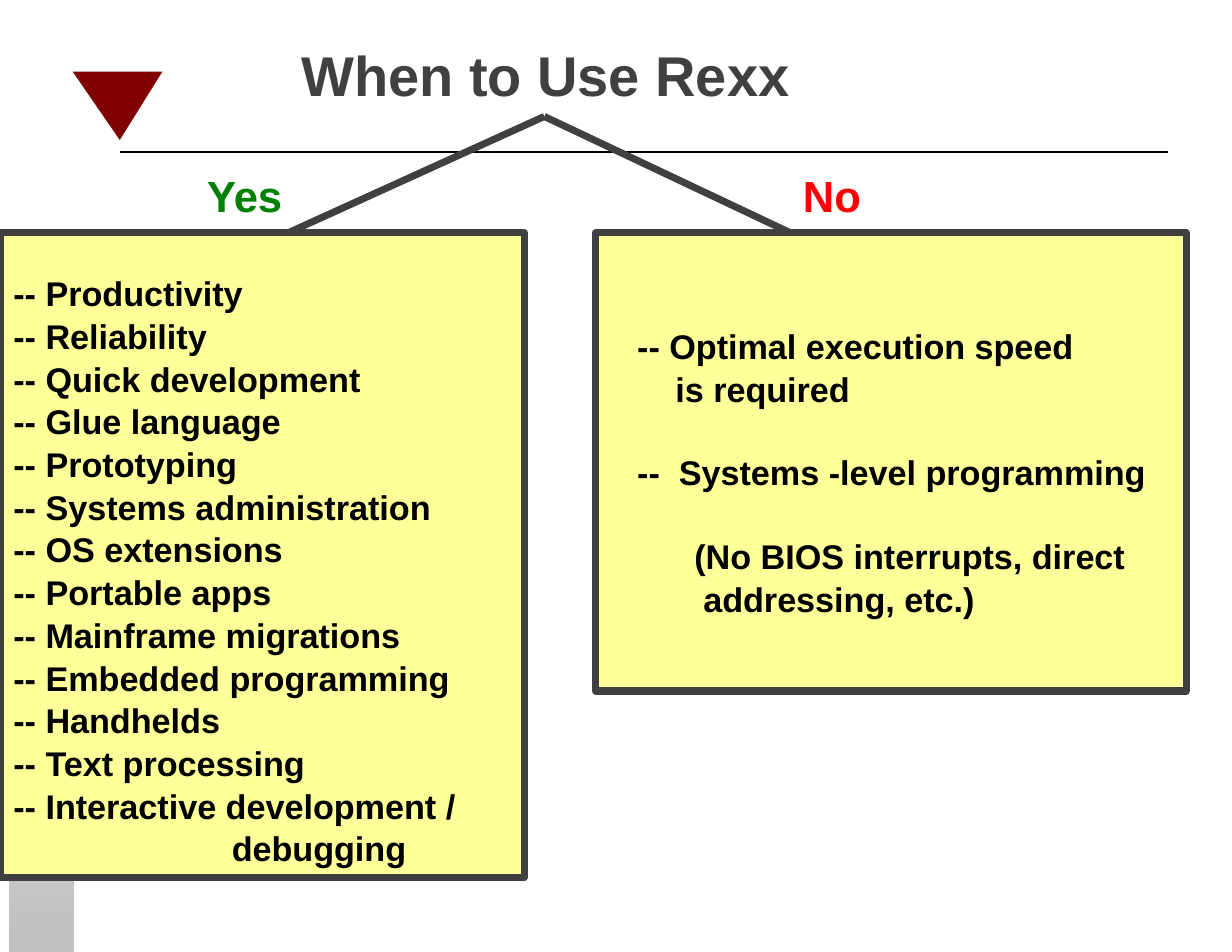
import pptx
import pptx.util
import pptx.dml.color
import pptx.enum.shapes
from lxml import etree

Inches, Pt = pptx.util.Inches, pptx.util.Pt
RGBColor = pptx.dml.color.RGBColor

MAROON = RGBColor(0x81, 0x00, 0x00)
SILVER = RGBColor(0xC0, 0xC0, 0xC0)
WHITE = RGBColor(0xFF, 0xFF, 0xFF)
BLACK = RGBColor(0x00, 0x00, 0x00)
CHARCOAL = RGBColor(0x40, 0x40, 0x40)
YELLOW = RGBColor(0xFF, 0xFF, 0x99)
RED = RGBColor(0xFF, 0x00, 0x00)
GREEN = RGBColor(0x00, 0x80, 0x00)

# Each line: text, indent in inches, blank lines before it
USES = [(f"-- {use}", 0, 0) for use in (
    "Productivity", "Reliability", "Quick development", "Glue language",
    "Prototyping", "Systems administration", "OS extensions",
    "Portable apps", "Mainframe migrations", "Embedded programming",
    "Handhelds", "Text processing", "Interactive development /")]
USES.append(("debugging", 1.95, 0))
LIMITS = [
    ("-- Optimal execution speed", 0, 0),
    ("is required", 0.34, 0),
    ("--  Systems -level programming", 0, 1),
    ("(No BIOS interrupts, direct", 0.51, 1),
    ("addressing, etc.)", 0.59, 0),
]
# Lines of text, box, size, colour
TEXTS = [
    ([("When to Use Rexx", 0, 0)], (2.58, 0.28, 4.59, 0.71), 36, CHARCOAL),
    (USES, (0.01, 2.36, 4.17, 5.61), 22, BLACK),
    (LIMITS, (5.58, 2.83, 4.77, 2.68), 22, BLACK),
    ([("No", 0, 0)], (7.06, 1.43, 0.74, 0.58), 28, RED),
    ([("Yes", 0, 0)], (1.74, 1.43, 0.91, 0.58), 28, GREEN),
]
PANELS = [(0, 2.08, 4.68, 5.76), (5.32, 2.08, 5.27, 4.09)]
TRIANGLE = [(0.65, 0.64), (1.07, 1.25), (1.45, 0.64)]
SIDEBAR = (0.08, 2.65, 0.58, 5.85)
FORK = (4.86, 1.04)
BRANCH_ENDS = [(2.57, 2.08), (7.06, 2.08)]
LINE_SPACING = 1.04
BLANK_LINE = 1.2  # height of an empty line, relative to the font size


def add_rectangle(slide, box):
    shape = slide.shapes.add_shape(
        pptx.enum.shapes.MSO_SHAPE.RECTANGLE, *map(Inches, box))
    shape.shadow.inherit = False
    return shape


def add_line(slide, start, end, color, width):
    line = slide.shapes.add_connector(
        pptx.enum.shapes.MSO_CONNECTOR.STRAIGHT, *map(Inches, start + end))
    line.line.color.rgb = color
    line.line.width = Pt(width)
    etree.SubElement(line._element.spPr, pptx.oxml.ns.qn("a:effectLst"))


def add_text(slide, lines, box, size, color):
    text_frame = slide.shapes.add_textbox(*map(Inches, box)).text_frame
    text_frame.word_wrap = False
    text_frame.margin_left = text_frame.margin_right = Inches(0.11)
    text_frame.margin_top = text_frame.margin_bottom = Inches(0.06)
    text_frame.text = "\n".join(text for text, _, _ in lines)
    for paragraph, (_, indent, blanks) in zip(text_frame.paragraphs, lines):
        paragraph.line_spacing = LINE_SPACING
        if indent:
            paragraph._p.get_or_add_pPr().set("marL", str(Inches(indent)))
        if blanks:
            paragraph.space_before = Pt(blanks * size * BLANK_LINE)
        for run in paragraph.runs:
            run.font.name = "Arial"
            run.font.size = Pt(size)
            run.font.bold = True
            run.font.color.rgb = color


def main():
    presentation = pptx.Presentation()
    presentation.slide_width = Inches(11)
    presentation.slide_height = Inches(8.5)
    slide = presentation.slides.add_slide(presentation.slide_layouts[6])

    corners = [(Inches(x), Inches(y)) for x, y in TRIANGLE]
    builder = slide.shapes.build_freeform(*corners[0])
    builder.add_line_segments(corners[1:], close=True)
    triangle = builder.convert_to_shape()
    triangle.shadow.inherit = False
    triangle.fill.solid()
    triangle.fill.fore_color.rgb = MAROON
    triangle.line.fill.background()

    sidebar = add_rectangle(slide, SIDEBAR)
    sidebar.line.fill.background()
    sidebar.fill.gradient()
    sidebar.fill.gradient_angle = 270
    for stop, color in zip(sidebar.fill.gradient_stops, (WHITE, SILVER)):
        stop.color.rgb = color

    add_line(slide, (1.07, 1.36), (10.43, 1.36), BLACK, 1.5)
    for end in BRANCH_ENDS:
        add_line(slide, FORK, end, CHARCOAL, 4.5)

    for box in PANELS:
        panel = add_rectangle(slide, box)
        panel.fill.solid()
        panel.fill.fore_color.rgb = YELLOW
        panel.line.color.rgb = CHARCOAL
        panel.line.width = Pt(4.5)

    for text in TEXTS:
        add_text(slide, *text)

    presentation.save("out.pptx")


if __name__ == "__main__":
    main()
